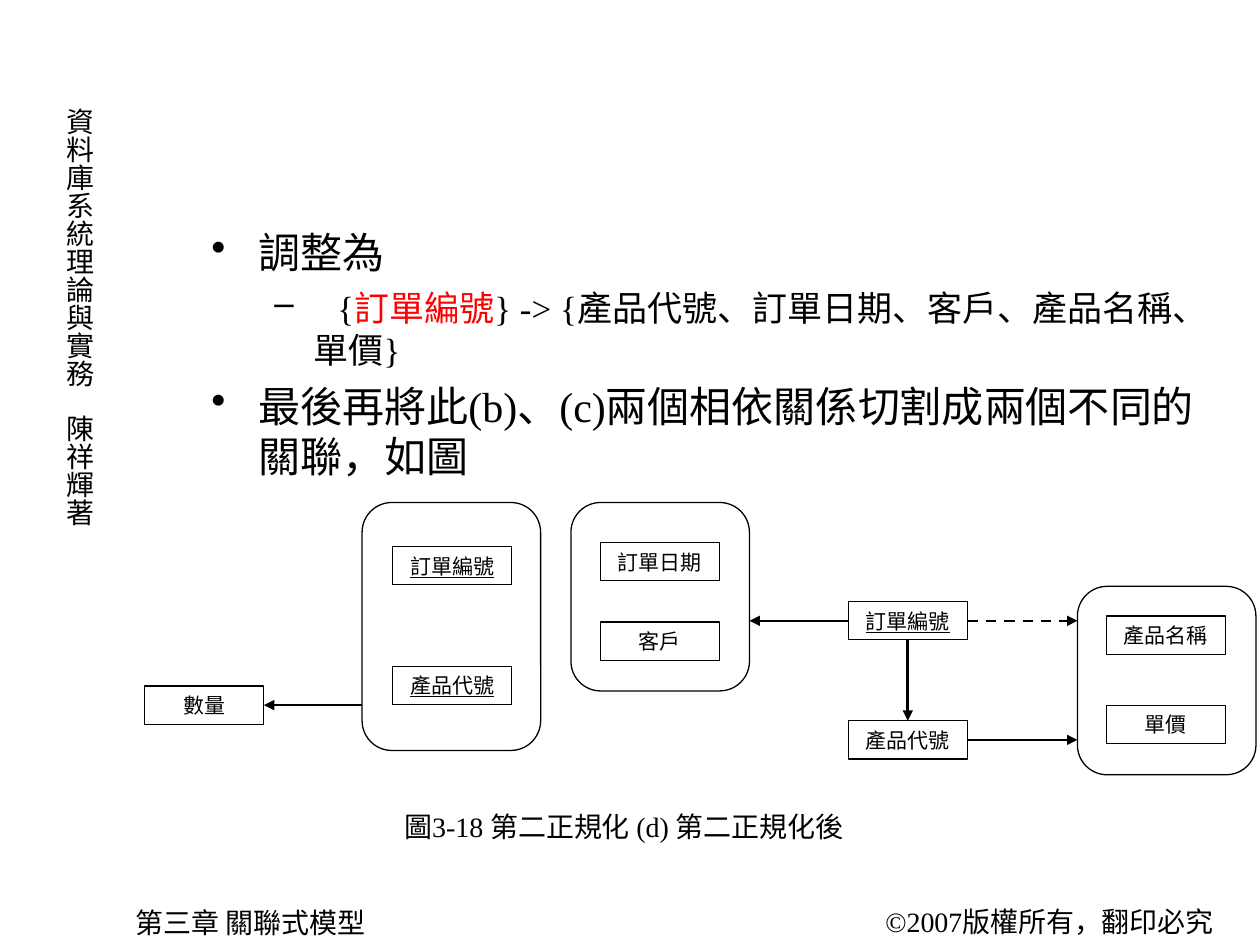
from lxml import etree
from pptx import Presentation
from pptx.dml.color import RGBColor
from pptx.enum.dml import MSO_LINE
from pptx.enum.shapes import MSO_CONNECTOR, MSO_SHAPE
from pptx.enum.text import MSO_ANCHOR, PP_ALIGN
from pptx.oxml.ns import qn
from pptx.util import Cm, Pt

BLACK = RGBColor(0, 0, 0)
RED = RGBColor(255, 0, 0)
SERIF, SANS = "Times New Roman", "Arial"
RECTANGLE, ROUNDED = MSO_SHAPE.RECTANGLE, MSO_SHAPE.ROUNDED_RECTANGLE
STRAIGHT, DASH = MSO_CONNECTOR.STRAIGHT, MSO_LINE.DASH
MIDDLE, CENTER = MSO_ANCHOR.MIDDLE, PP_ALIGN.CENTER
TOP, LEFT, BOTTOM, RIGHT = range(4)

BOX_WIDTH, BOX_HEIGHT = 2.4, 0.77
FRAME_WIDTH = 3.6


class Painter:
    def __init__(self, page):
        self.page = page

    def style(self, font, size, name, color=BLACK):
        font.size, font.name = Pt(size), name
        font.color.rgb = color

    def text(self, left, top, width, height, content=""):
        box = self.page.shapes.add_textbox(Cm(left), Cm(top), Cm(width), Cm(height))
        box.text_frame.word_wrap = True
        if content:
            box.text_frame.text = content
            self.style(box.text_frame.paragraphs[0].runs[0].font, 16, SERIF)
        return box

    def vertical_text(self, left, top, width, height, content):
        frame = self.text(left, top, width, height, content).text_frame
        frame.margin_left = frame.margin_right = Cm(0.13)
        frame.margin_top, frame.margin_bottom = Cm(0.25), Cm(0)
        frame._txBody.bodyPr.set("vert", "eaVert")

    def bullet(self, para, symbol, margin, hang, size, before, pieces, tab=None):
        """Fill a bulleted paragraph with (text, colour) pieces."""
        props = para._p.get_or_add_pPr()
        props.set("marL", str(Cm(margin)))
        props.set("indent", str(-Cm(hang)))
        etree.SubElement(props, qn("a:buChar"), char=symbol)
        if tab:
            stops = etree.SubElement(props, qn("a:tabLst"))
            etree.SubElement(stops, qn("a:tab"), pos=str(Cm(tab)), algn="l")
        para.space_before = Pt(before)
        for content, color in pieces:
            span = para.add_run()
            span.text = content
            self.style(span.font, size, SERIF, color)

    def outline(self, kind, left, top, width, height):
        shape = self.page.shapes.add_shape(kind, Cm(left), Cm(top), Cm(width), Cm(height))
        shape.shadow.inherit = False
        shape.fill.background()
        shape.line.color.rgb = BLACK
        shape.line.width = Pt(0.75)
        return shape

    def frame(self, left, top, height):
        return self.outline(ROUNDED, left, top, FRAME_WIDTH, height)

    def field(self, left, top, name, key=False):
        """Draw a labelled attribute; key attributes are underlined."""
        box = self.outline(RECTANGLE, left, top, BOX_WIDTH, BOX_HEIGHT)
        box.text_frame.text = name
        box.text_frame.vertical_anchor = MIDDLE
        para = box.text_frame.paragraphs[0]
        para.alignment = CENTER
        font = para.runs[0].font
        self.style(font, 12, SANS)
        if key:
            font.underline = True
        return box

    def arrow(self, start, end, dashed=False):
        """Join two ends, each a (box, side) pair or an (x, y) point in EMU."""
        line = self.page.shapes.add_connector(STRAIGHT, 0, 0, 0, 0)
        if isinstance(start[0], int):
            line.begin_x, line.begin_y = start
        else:
            line.begin_connect(*start)
        if isinstance(end[0], int):
            line.end_x, line.end_y = end
        else:
            line.end_connect(*end)
        line.line.color.rgb = BLACK
        line.line.width = Pt(1.5)
        if dashed:
            line.line.dash_style = DASH
        etree.SubElement(line.line._get_or_add_ln(), qn("a:tailEnd"), type="triangle")
        etree.SubElement(line._element.spPr, qn("a:effectLst"))


def level_with(box, x):
    """Point at x on the horizontal middle line of a box."""
    return x, box.top + box.height // 2


def main():
    deck = Presentation()
    deck.slide_width, deck.slide_height = Cm(25.4), Cm(19.05)
    page = deck.slides.add_slide(deck.slide_layouts[6])
    painter = Painter(page)

    painter.vertical_text(0.91, 1.93, 1.17, 9, "資料庫系統理論與實務\u3000陳祥輝著")
    painter.text(17.6, 18.11, 7.7, 0.94, "©2007版權所有，翻印必究")
    painter.text(2.49, 18.13, 10, 0.94, "第三章 關聯式模型")

    body = painter.text(4.01, 4.45, 20.32, 12.57).text_frame
    painter.bullet(body.paragraphs[0], "•", 0.95, 0.95, 24, 0, [("調整為", BLACK)])
    painter.bullet(body.add_paragraph(), "–", 2.06, 0.79, 20, 5, [
        ("\t{", BLACK),
        ("訂單編號", RED),
        ("} -> {產品代號、訂單日期、客戶、產品名稱、單價}", BLACK),
    ], tab=2.54)
    painter.bullet(body.add_paragraph(), "•", 0.95, 0.95, 24, 6, [
        ("最後再將此(b)、(c)兩個相依關係切割成兩個不同的關聯，如圖", BLACK),
    ])

    key_frame = painter.frame(7.3, 10.13, 5)
    painter.field(7.92, 11.02, "訂單編號", key=True)
    painter.field(7.92, 13.43, "產品代號", key=True)
    quantity = painter.field(2.92, 13.83, "數量")
    painter.arrow(level_with(quantity, key_frame.left), (quantity, RIGHT))

    order_frame = painter.frame(11.51, 10.13, 3.8)
    painter.field(12.1, 10.94, "訂單日期")
    painter.field(12.1, 12.54, "客戶")
    product_frame = painter.frame(21.72, 11.82, 3.8)
    painter.field(22.3, 12.42, "產品名稱")
    painter.field(22.3, 14.22, "單價")

    order = painter.field(17.1, 12.13, "訂單編號", key=True)
    product = painter.field(17.1, 14.53, "產品代號")
    order_edge = order_frame.left + order_frame.width
    painter.arrow((order, LEFT), level_with(order, order_edge))
    painter.arrow((order, BOTTOM), (product, TOP))
    painter.arrow((order, RIGHT), level_with(order, product_frame.left), dashed=True)
    painter.arrow((product, RIGHT), level_with(product, product_frame.left))

    painter.text(7.9, 16.2, 12, 0.94, "圖3-18 第二正規化 (d) 第二正規化後")
    deck.save("out.pptx")


if __name__ == "__main__":
    main()
